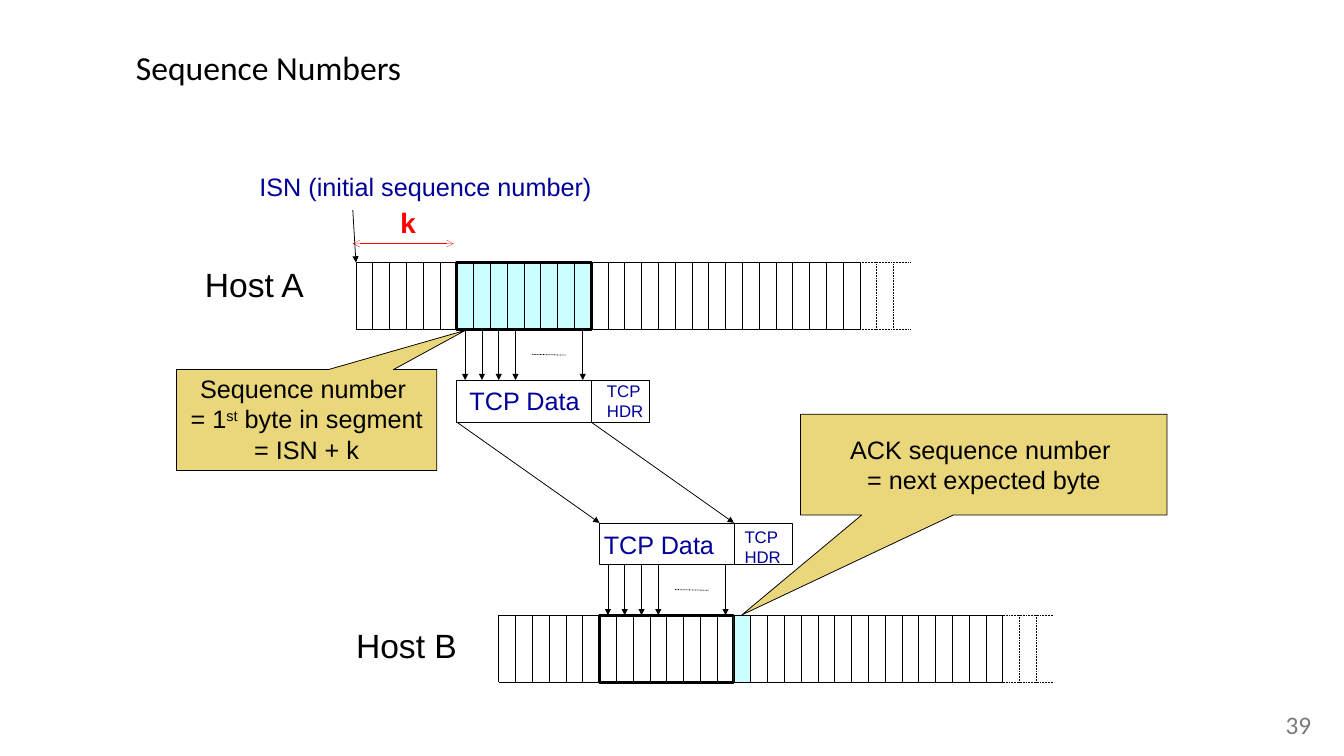
from lxml.etree import SubElement
from pptx import Presentation
from pptx.dml.color import RGBColor
from pptx.enum.dml import MSO_LINE
from pptx.enum.shapes import MSO_CONNECTOR, MSO_SHAPE as Kind
from pptx.enum.text import MSO_ANCHOR as Anchor, MSO_AUTO_SIZE as Fit, PP_ALIGN as Align
from pptx.oxml.ns import qn
from pptx.util import Pt

BLACK = RGBColor(0x00, 0x00, 0x00)
WHITE = RGBColor(0xFF, 0xFF, 0xFF)
NAVY = RGBColor(0x00, 0x00, 0x99)
RED = RGBColor(0xFF, 0x00, 0x00)
GRAY = RGBColor(0x7A, 0x7A, 0x7A)
CYAN = RGBColor(0xCC, 0xFF, 0xFF)
GOLD = RGBColor(0xEA, 0xD7, 0x7B)

CELL = 16          # width of one byte
BYTES = 30         # bytes drawn solid
MORE = 3           # bytes drawn dotted
TALL = 64          # height of a byte stream
SKIP = 6 * CELL    # bytes ahead of the segment
DATA = 8 * CELL    # segment payload
HEAD = 56          # segment header
DEEP = 40          # height of a segment
DROP = 47.5        # length of the byte arrows

A_LEFT, A_TOP = 339, 250
B_LEFT, B_TOP = 475, 586
A_SEG, B_SEG = 362, 498


def line(slide, start, end, color=BLACK, width=0.75, dots=False, head=None, tail=None):
    ends = [Pt(v) for v in (*start, *end)]
    link = slide.shapes.add_connector(MSO_CONNECTOR.STRAIGHT, *ends)
    link.line.color.rgb = color
    link.line.width = Pt(width)
    if dots:
        link.line.dash_style = MSO_LINE.ROUND_DOT
    props = link._element.spPr
    for tag, tip in (("a:headEnd", head), ("a:tailEnd", tail)):
        if tip:
            SubElement(props.find(qn("a:ln")), qn(tag), type=tip)
    SubElement(props, qn("a:effectLst"))


def box(slide, area, fill=None, width=0.75, kind=Kind.RECTANGLE):
    shape = slide.shapes.add_shape(kind, *[Pt(v) for v in area])
    shape.shadow.inherit = False
    if fill is None:
        shape.fill.background()
    else:
        shape.fill.solid()
        shape.fill.fore_color.rgb = fill
    shape.line.color.rgb = BLACK
    shape.line.width = Pt(width)
    return shape


def add_run(para, text, size, color=BLACK, font="Arial", bold=False):
    run = para.add_run()
    run.text = text
    run.font.size = Pt(size)
    run.font.name = font
    run.font.bold = bold
    run.font.color.rgb = color
    return run


def label(slide, area, rows, size, color=BLACK, font="Arial", bold=False,
          align=Align.LEFT, inset=None, wrap=False):
    frame = slide.shapes.add_textbox(*[Pt(v) for v in area]).text_frame
    frame.word_wrap = wrap
    frame.auto_size = Fit.NONE if wrap else Fit.SHAPE_TO_FIT_TEXT
    if inset is not None:
        frame.margin_left = frame.margin_right = Pt(inset)
        frame.margin_top = frame.margin_bottom = Pt(inset)
    for num, row in enumerate(rows):
        para = frame.add_paragraph() if num else frame.paragraphs[0]
        para.alignment = align
        add_run(para, row, size, color, font, bold)
    return frame


def callout(slide, area, tip, anchor):
    """Draw a gold callout and return its text frame."""
    shape = box(slide, area, GOLD, kind=Kind.RECTANGULAR_CALLOUT)
    shape.adjustments[0], shape.adjustments[1] = tip
    frame = shape.text_frame
    frame.word_wrap = True
    frame.vertical_anchor = anchor
    frame.paragraphs[0].alignment = Align.CENTER
    return frame


def stream(slide, left, top):
    """Draw a row of bytes that trails off in dots."""
    edge = left + BYTES * CELL
    for y in (top, top + TALL):
        line(slide, (left, y), (edge, y))
        line(slide, (edge + MORE * CELL, y), (edge, y), dots=True)
    for num in range(BYTES + MORE):
        x = left + num * CELL
        line(slide, (x, top), (x, top + TALL), dots=num > BYTES)


def segment(slide, left, top, data_at, head_at):
    box(slide, (left, top, DATA, DEEP), WHITE)
    box(slide, (left + DATA, top, HEAD, DEEP), WHITE)
    label(slide, (*data_at, 120, 36), ["TCP Data"], 24, NAVY)
    label(slide, (*head_at, 51, 46), ["TCP", "HDR"], 16, NAVY)


def byte_arrows(slide, left, top):
    for num in (0, 1, 2, 3, 7):
        x = left + (num + 0.5) * CELL
        line(slide, (x, top), (x, top + DROP), tail="triangle")
    x = left + 4.5 * CELL
    line(slide, (x, top + 23), (x + 2 * CELL, top + 23.7), dots=True)


def main():
    deck = Presentation()
    deck.slide_width, deck.slide_height = Pt(1280), Pt(720)
    slide = deck.slides.add_slide(deck.slide_layouts[6])
    a_data, b_data = A_LEFT + SKIP, B_LEFT + SKIP

    title = label(slide, (125, 0, 1030, 128), ["Sequence Numbers"], 32,
                  font="Calibri", inset=4.5, wrap=True)
    title.vertical_anchor = Anchor.MIDDLE

    box(slide, (a_data, A_TOP, DATA, TALL), CYAN, 3)
    stream(slide, A_LEFT, A_TOP)
    stream(slide, B_LEFT, B_TOP)
    label(slide, (188, 248, 109, 46), ["Host A"], 32)
    label(slide, (332, 592, 112, 46), ["Host B"], 32)

    segment(slide, a_data, A_SEG, (440, 363), (571, 359))
    segment(slide, b_data, B_SEG, (568, 500.5), (702, 498))
    for shift in (0, DATA):
        line(slide, (a_data + shift, A_SEG + DEEP), (b_data + shift, B_SEG),
             tail="triangle")
    byte_arrows(slide, a_data, A_TOP + TALL + 0.5)
    byte_arrows(slide, b_data, B_SEG + DEEP + 0.5)
    box(slide, (b_data, B_TOP, DATA, TALL), width=3)

    ack = callout(slide, (762.5, 394.5, 349, 96), (-0.66, 1.49), Anchor.MIDDLE)
    add_run(ack.paragraphs[0], "ACK sequence number ", 24)
    para = ack.add_paragraph()
    para.alignment = Align.CENTER
    add_run(para, "= next expected byte", 24)
    box(slide, (b_data + DATA, B_TOP, CELL, TALL), CYAN)

    seq = callout(slide, (168, 352, 248, 96), (0.61, -0.89), Anchor.TOP)
    para = seq.paragraphs[0]
    add_run(para, "Sequence number ", 24)
    para.add_line_break()
    add_run(para, "= 1", 24)
    power = add_run(para, "st", 24)
    power.font._element.set("baseline", "30000")
    add_run(para, " byte in segment = ISN + k", 24)

    label(slide, (240, 160, 334, 36), ["ISN (initial sequence number)"], 24, NAVY)
    line(slide, (336, 232), (432, 232), RED, 0.25, head="arrow", tail="arrow")
    line(slide, (336, 200), (A_LEFT, A_TOP), tail="triangle")
    label(slide, (373, 192, 31, 40), ["k"], 26.7, RED, "Courier New", True, Align.RIGHT)
    label(slide, (1220, 676, 33, 36), ["39"], 24, GRAY, "Calibri",
          align=Align.CENTER, inset=0)

    deck.save("out.pptx")


if __name__ == "__main__":
    main()
